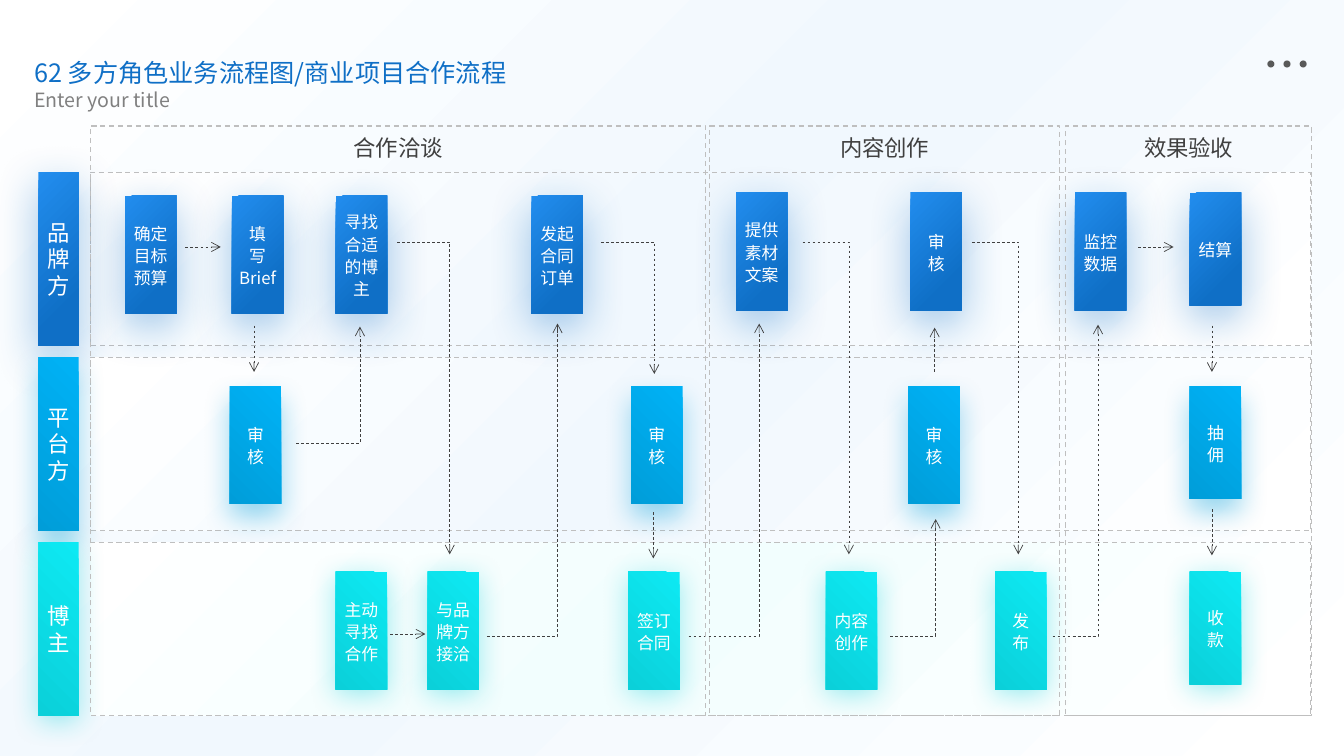
from dataclasses import dataclass
from typing import Any

from lxml import etree
from pptx import Presentation
from pptx.dml.color import RGBColor
from pptx.enum.dml import MSO_LINE
from pptx.enum.shapes import MSO_CONNECTOR, MSO_SHAPE
from pptx.enum.text import MSO_ANCHOR, PP_ALIGN
from pptx.oxml.ns import qn
from pptx.util import Emu, Inches, Pt

RECT, OVAL = MSO_SHAPE.RECTANGLE, MSO_SHAPE.OVAL
STRAIGHT, DASH = MSO_CONNECTOR.STRAIGHT, MSO_LINE.DASH
TOP, MIDDLE = MSO_ANCHOR.TOP, MSO_ANCHOR.MIDDLE
LEFT, CENTER = PP_ALIGN.LEFT, PP_ALIGN.CENTER
FONT = "Noto Sans CJK SC"
WHITE, DARK, GREY, BLUE, SILVER = "FFFFFF", "404040", "808080", "0F6FC6", "BFBFBF"

# Grid of 0.1 inch cells; all positions below are columns and rows of it
CELL = Inches(0.1)
LANE_LEFT, LANE_WIDTH, LANE_HEIGHT, LANE_TOP, LANE_PITCH = 9, 121, 17.2, 17.1, 18.35
NODE_WIDTH, NODE_HEIGHT, LAST_NODE_HEIGHT = 5.1, 11.7, 11.2

Box = tuple[float, float, float, float]
Point = tuple[float, float]
Stops = list[tuple[int, str]]
TO_BOTTOM_RIGHT = (0, 0, 100, 100)
FROM_BOTTOM_RIGHT = (100, 100, 0, 0)
FROM_BOTTOM_LEFT = (0, 100, 100, 0)


@dataclass
class Role:
    name: str
    stops: Stops
    focus: tuple[int, int, int, int]
    blur: float
    distance: float
    tint: str


@dataclass
class Step:
    role: int
    left: float
    top: float
    text: str
    chars_per_line: int = 2
    height: float = NODE_HEIGHT


@dataclass
class Phase:
    name: str
    left: float
    width: float


ROLES = [
    Role("品牌方", [(23, BLUE), (100, "228DEE")], FROM_BOTTOM_RIGHT, 32.4, 9.7, "F1F8FE"),
    Role("平台方", [(0, "009DD9"), (100, "00B2F6")], FROM_BOTTOM_LEFT, 20, 9.7, "F1F8FE"),
    Role("博主", [(0, "0BD0D9"), (100, "0DE9F3")], FROM_BOTTOM_LEFT, 20, 4, "F2FEFE"),
]
BRAND, PLATFORM, BLOGGER = range(3)

STEPS = [
    Step(BRAND, 12.4, 19.4, "确定目标预算"),
    Step(BRAND, 23, 19.4, "填\n写Brief"),
    Step(BRAND, 33.3, 19.4, "寻找合适的博主"),
    Step(BRAND, 52.7, 19.4, "发起合同订单"),
    Step(BRAND, 73, 19.1, "提供素材文案"),
    Step(BRAND, 90.3, 19.1, "审\n核"),
    Step(BRAND, 106.6, 19.1, "监控数据"),
    Step(BRAND, 118, 19.1, "结算", height=LAST_NODE_HEIGHT),
    Step(PLATFORM, 22.8, 38.3, "审核", 1),
    Step(PLATFORM, 62.6, 38.3, "审核", 1),
    Step(PLATFORM, 90.1, 38.3, "审核", 1),
    Step(PLATFORM, 118, 38.3, "抽佣", 1, LAST_NODE_HEIGHT),
    Step(BLOGGER, 33.3, 56.7, "主动寻找合作"),
    Step(BLOGGER, 42.4, 56.7, "与品牌方接洽"),
    Step(BLOGGER, 62.3, 56.7, "签订合同"),
    Step(BLOGGER, 81.9, 56.7, "内容创作"),
    Step(BLOGGER, 98.7, 56.7, "发\n布"),
    Step(BLOGGER, 118, 56.7, "收\n款", height=LAST_NODE_HEIGHT),
]

PHASES = [Phase("合作洽谈", 9, 61), Phase("内容创作", 70.4, 34.7), Phase("效果验收", 105.7, 24.4)]

STRAIGHT_FLOWS = [
    ((18.4, 24.5), (21.9, 24.5)), ((25.2, 32.3), (25.2, 36.9)),
    ((38.7, 62.9), (42.2, 62.9)), ((64.8, 50.8), (64.8, 55.4)),
    ((92.7, 36.9), (92.7, 32.5)), ((112.9, 24.5), (116.4, 24.5)),
    ((120.2, 32.3), (120.2, 36.9)), ((120.2, 50.5), (120.2, 55.1)),
]
# Each bent flow runs sideways first, then up or down to its end
BENT_FLOWS = [
    ((29.4, 44), (35.7, 32.4)), ((39.4, 24), (44.6, 55)), ((48.3, 63.1), (55.3, 32.1)),
    ((59.6, 24), (64.9, 37.1)), ((68.3, 63.1), (75.3, 32.1)), ((79.6, 24), (84.2, 55)),
    ((88.3, 63.1), (92.8, 51.5)), ((96.4, 24), (101, 55)), ((104.4, 63.1), (108.9, 32.2)),
]


def grid(cells: float) -> Emu:
    return Emu(round(cells * CELL))


def rgb(color: str) -> RGBColor:
    return RGBColor.from_string(color)


def node(parent: Any, tag: str, **attributes: object) -> Any:
    return etree.SubElement(parent, qn(tag), {k: str(v) for k, v in attributes.items()})


def add_box(slide: Any, kind: Any, box: Box) -> Any:
    shape = slide.shapes.add_shape(kind, *map(grid, box))
    shape.shadow.inherit = False
    shape.fill.background()
    shape.line.fill.background()
    return shape


def fill_gradient(shape: Any, stops: Stops, focus: tuple[int, int, int, int]) -> None:
    shape.fill.gradient()
    gradient = shape.element.spPr.find(qn("a:gradFill"))
    for child in list(gradient):
        gradient.remove(child)
    stop_list = node(gradient, "a:gsLst")
    for position, color in stops:
        node(node(stop_list, "a:gs", pos=position * 1000), "a:srgbClr", val=color)
    sides = {side: share * 1000 for side, share in zip("ltrb", focus)}
    node(node(gradient, "a:path", path="circle"), "a:fillToRect", **sides)


def fill_role(shape: Any, role: Role) -> None:
    fill_gradient(shape, role.stops, role.focus)
    effects = shape.element.spPr.find(qn("a:effectLst"))
    glow = node(effects, "a:outerShdw", blurRad=Pt(role.blur), dist=Pt(role.distance),
                dir=90 * 60000, algn="t", rotWithShape=0)
    node(node(glow, "a:srgbClr", val=role.stops[0][1]), "a:alpha", val=40000)


def style_line(shape: Any, color: str, width: float) -> None:
    shape.line.color.rgb = rgb(color)
    shape.line.width = Pt(width)
    shape.line.dash_style = DASH


def add_arrowhead(flow: Any) -> None:
    style_line(flow, DARK, 0.5)
    node(flow.element.spPr.find(qn("a:ln")), "a:tailEnd", type="arrow")


def write(shape: Any, text: str, size: float, color: str, align: Any = CENTER,
          anchor: Any = MIDDLE, side: float = 1, edge: float = 0.5, spacing: float = 1) -> None:
    frame = shape.text_frame
    frame.text = text
    frame.word_wrap = True
    frame.vertical_anchor = anchor
    frame.margin_left = frame.margin_right = grid(side)
    frame.margin_top = frame.margin_bottom = grid(edge)
    for paragraph in frame.paragraphs:
        paragraph.alignment = align
        paragraph.line_spacing = spacing
        for run in paragraph.runs:
            run.font.size = Pt(size)
            run.font.color.rgb = rgb(color)
            run.font.name = FONT
            node(run.font._element, "a:ea", typeface=FONT)


def add_flow(slide: Any, start: Point, end: Point, bent: bool) -> None:
    (x1, y1), (x2, y2) = [tuple(map(grid, point)) for point in (start, end)]
    if bent:
        outline = slide.shapes.build_freeform(x1, y1)
        outline.add_line_segments([(x2, y1), (x2, y2)], close=False)
        flow = outline.convert_to_shape()
        flow.fill.background()
        flow.shadow.inherit = False
    else:
        flow = slide.shapes.add_connector(STRAIGHT, x1, y1, x2, y2)
        node(flow.element.spPr, "a:effectLst")
    add_arrowhead(flow)


def main() -> None:
    deck = Presentation()
    deck.slide_width, deck.slide_height = Inches(13.33), Inches(7.5)
    slide = deck.slides.add_slide(deck.slide_layouts[5])

    # Backdrop, heading and corner dots
    backdrop = add_box(slide, RECT, (0, 0, 133.3, 75))
    fill_gradient(backdrop, [(0, WHITE), (46, "F1F8FE"), (100, WHITE)], TO_BOTTOM_RIGHT)
    heading = slide.shapes.title
    slide.shapes.element.append(heading.element)
    heading.left, heading.top, heading.width, heading.height = map(grid, (2.4, 5.2, 123.1, 4))
    write(heading, "62 多方角色业务流程图/商业项目合作流程", 18, BLUE, LEFT, TOP)
    subtitle = slide.shapes.add_textbox(*map(grid, (2.4, 8.2, 28.6, 3.4)))
    write(subtitle, "Enter your title", 14, GREY, LEFT, TOP)
    for i in range(3):
        dot = add_box(slide, OVAL, (125.7 + 1.6 * i, 6, 0.7, 0.7))
        dot.fill.solid()
        dot.fill.fore_color.rgb = rgb("595959")

    # Swimlanes with their role labels
    for i, role in enumerate(ROLES):
        top = LANE_TOP + i * LANE_PITCH
        lane = add_box(slide, RECT, (LANE_LEFT, top, LANE_WIDTH, LANE_HEIGHT))
        fill_gradient(lane, [(0, WHITE), (46, role.tint), (100, WHITE)], TO_BOTTOM_RIGHT)
        style_line(lane, SILVER, 0.9)
        label = add_box(slide, RECT, (3.8, top, 4, LANE_HEIGHT))
        fill_role(label, role)
        write(label, role.name, 16, WHITE, side=0.8)

    # Steps and the flows between them
    for step in STEPS:
        card = add_box(slide, RECT, (step.left, step.top, NODE_WIDTH, step.height))
        fill_role(card, ROLES[step.role])
        write(card, step.text, 12, WHITE, spacing=1.1,
              side=0.5 if step.chars_per_line == 2 else 1.6)
    for flows, bent in ((STRAIGHT_FLOWS, False), (BENT_FLOWS, True)):
        for start, end in flows:
            add_flow(slide, start, end, bent)

    # Phase frames
    for phase in PHASES:
        frame = add_box(slide, RECT, (phase.left, 12.5, phase.width, 58.5))
        style_line(frame, SILVER, 0.9)
        write(frame, phase.name, 16, DARK, anchor=TOP, edge=0.8)

    deck.save("out.pptx")


if __name__ == "__main__":
    main()
